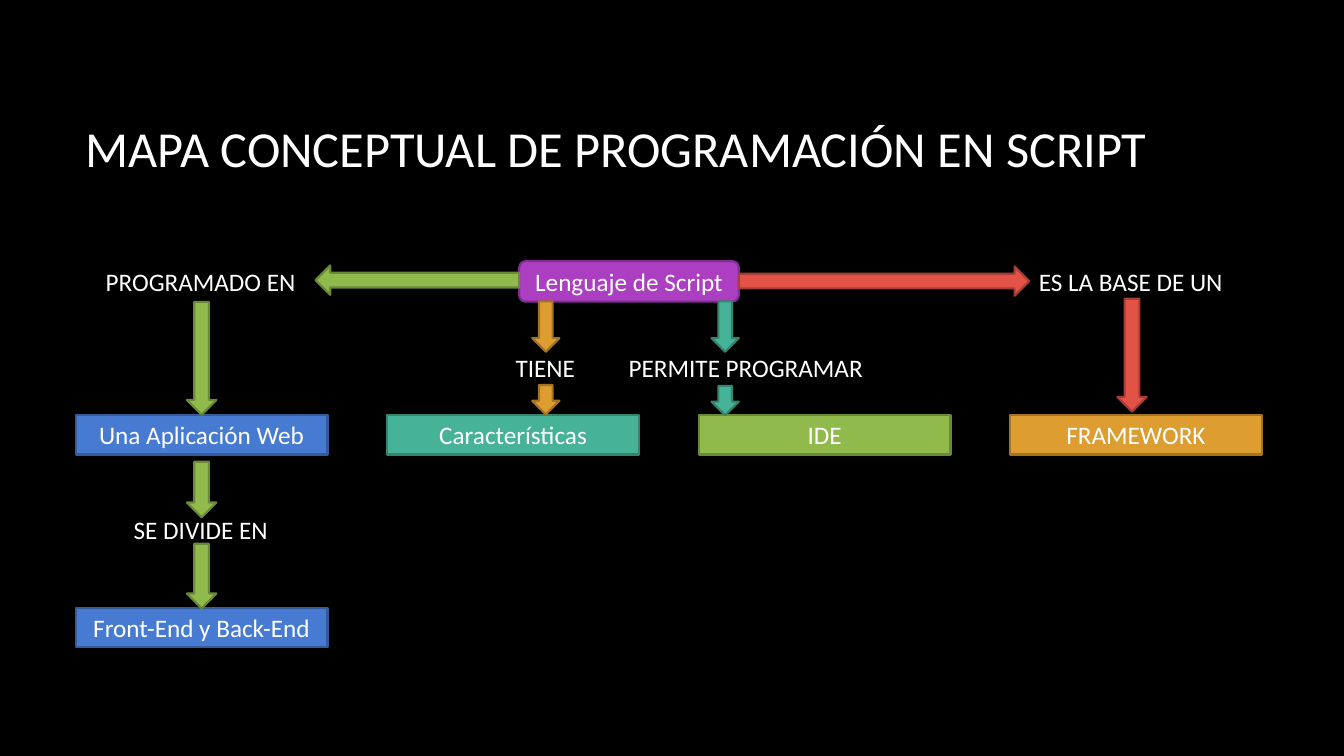
from pptx import Presentation
from pptx.dml.color import RGBColor
from pptx.enum.shapes import MSO_SHAPE
from pptx.enum.text import MSO_ANCHOR, MSO_AUTO_SIZE, PP_ALIGN
from pptx.util import Pt

RECTANGLE = MSO_SHAPE.RECTANGLE
ROUNDED = MSO_SHAPE.ROUNDED_RECTANGLE
DOWN = MSO_SHAPE.DOWN_ARROW
LEFT = MSO_SHAPE.LEFT_ARROW
RIGHT = MSO_SHAPE.RIGHT_ARROW
MIDDLE = MSO_ANCHOR.MIDDLE
FIT_SHAPE = MSO_AUTO_SIZE.SHAPE_TO_FIT_TEXT
NO_FIT = MSO_AUTO_SIZE.NONE
ALIGN_LEFT = PP_ALIGN.LEFT
ALIGN_CENTER = PP_ALIGN.CENTER

COLORS = {
    "background": "000000", "text": "FFFFFF",
    "purple": "AC3EC1", "purple_line": "7F2E8F",
    "blue": "477BD1", "blue_line": "355B9B",
    "teal": "46B298", "teal_line": "348470",
    "green": "90BA4C", "green_line": "6B8A38",
    "orange": "DD9D31", "orange_line": "A37424",
    "red": "E25247", "red_line": "A73D35",
}


def color(name):
    return RGBColor.from_string(COLORS[name])


class ConceptMap:
    font_name = "Calibri"
    text_size = 18
    title_size = 36
    line_width = 1.5

    def __init__(self, presentation):
        self.slide = presentation.slides.add_slide(presentation.slide_layouts[5])
        fill = self.slide.background.fill
        fill.solid()
        fill.fore_color.rgb = color("background")

    def set_text(self, shape, text, size, alignment, **frame_format):
        frame = shape.text_frame
        frame.text = text
        for name, value in frame_format.items():
            setattr(frame, name, value)
        paragraph = frame.paragraphs[0]
        paragraph.alignment = alignment
        font = paragraph.runs[0].font
        font_format = {"name": self.font_name, "size": Pt(size)}
        for name, value in font_format.items():
            setattr(font, name, value)
        font.color.rgb = color("text")

    def title(self, text, left, top, width, height):
        shape = self.slide.shapes.title
        place = {"left": left, "top": top, "width": width, "height": height}
        for name, value in place.items():
            setattr(shape, name, Pt(value))
        self.set_text(shape, text, self.title_size, ALIGN_LEFT,
                      vertical_anchor=MIDDLE, auto_size=NO_FIT, word_wrap=True)

    def block(self, kind, tone, left, top, width, height):
        shape = self.slide.shapes.add_shape(
            kind, Pt(left), Pt(top), Pt(width), Pt(height))
        shape.shadow.inherit = False
        shape.fill.solid()
        shape.fill.fore_color.rgb = color(tone)
        shape.line.color.rgb = color(tone + "_line")
        shape.line.width = Pt(self.line_width)
        return shape

    def concept(self, text, tone, left, top, width=180, height=28.1, kind=RECTANGLE):
        shape = self.block(kind, tone, left, top, width, height)
        self.set_text(shape, text, self.text_size, ALIGN_CENTER,
                      vertical_anchor=MIDDLE, word_wrap=True)

    def link_text(self, text, left, top, width):
        shape = self.slide.shapes.add_textbox(Pt(left), Pt(top), Pt(width), Pt(29))
        self.set_text(shape, text, self.text_size, ALIGN_LEFT,
                      word_wrap=False, auto_size=FIT_SHAPE)

    def down_arrow(self, tone, center, top, length, thickness):
        self.block(DOWN, tone, center - thickness / 2, top, thickness, length)

    def side_arrow(self, kind, tone, left, top, length):
        self.block(kind, tone, left, top, length, 21)


def main():
    presentation = Presentation()
    presentation.slide_width = Pt(960)
    presentation.slide_height = Pt(540)
    concept_map = ConceptMap(presentation)

    concept_map.title("MAPA CONCEPTUAL DE PROGRAMACIÓN EN SCRIPT", 54, 48.2, 798, 114.5)
    concept_map.concept("Lenguaje de Script", "purple", 370.8, 186.5, 157, 29, ROUNDED)

    first_left, column_step, row_top = 54, 222.5, 296.6
    columns = [
        ("Una Aplicación Web", "blue"),
        ("Características", "teal"),
        ("IDE", "green"),
        ("FRAMEWORK", "orange"),
    ]
    for index, (text, tone) in enumerate(columns):
        concept_map.concept(text, tone, first_left + index * column_step, row_top)
    concept_map.concept("Front-End y Back-End", "blue", first_left, 434.2)

    concept_map.side_arrow(LEFT, "green", 225.4, 189.6, 145.4)
    concept_map.side_arrow(RIGHT, "red", 527.8, 190.3, 207.4)

    down_arrows = [
        ("green", 144, 215.6, 80.6, 21),
        ("green", 144, 329.8, 39.6, 21),
        ("green", 144, 388.4, 46, 21),
        ("orange", 389.9, 215.3, 36, 19.5),
        ("orange", 389.9, 275, 21, 19.5),
        ("teal", 518, 215.3, 36, 19.5),
        ("teal", 518, 275.6, 21, 19.5),
        ("red", 808.6, 213.4, 80.6, 21),
    ]
    for arrow in down_arrows:
        concept_map.down_arrow(*arrow)

    link_texts = [
        ("PROGRAMADO EN", 68.4, 186.5, 151),
        ("SE DIVIDE EN", 88.4, 363.6, 111.6),
        ("TIENE", 361.2, 247.9, 57.6),
        ("PERMITE PROGRAMAR", 442, 247.9, 183),
        ("ES LA BASE DE UN", 735, 186.5, 147),
    ]
    for link in link_texts:
        concept_map.link_text(*link)

    presentation.save("out.pptx")


if __name__ == "__main__":
    main()
